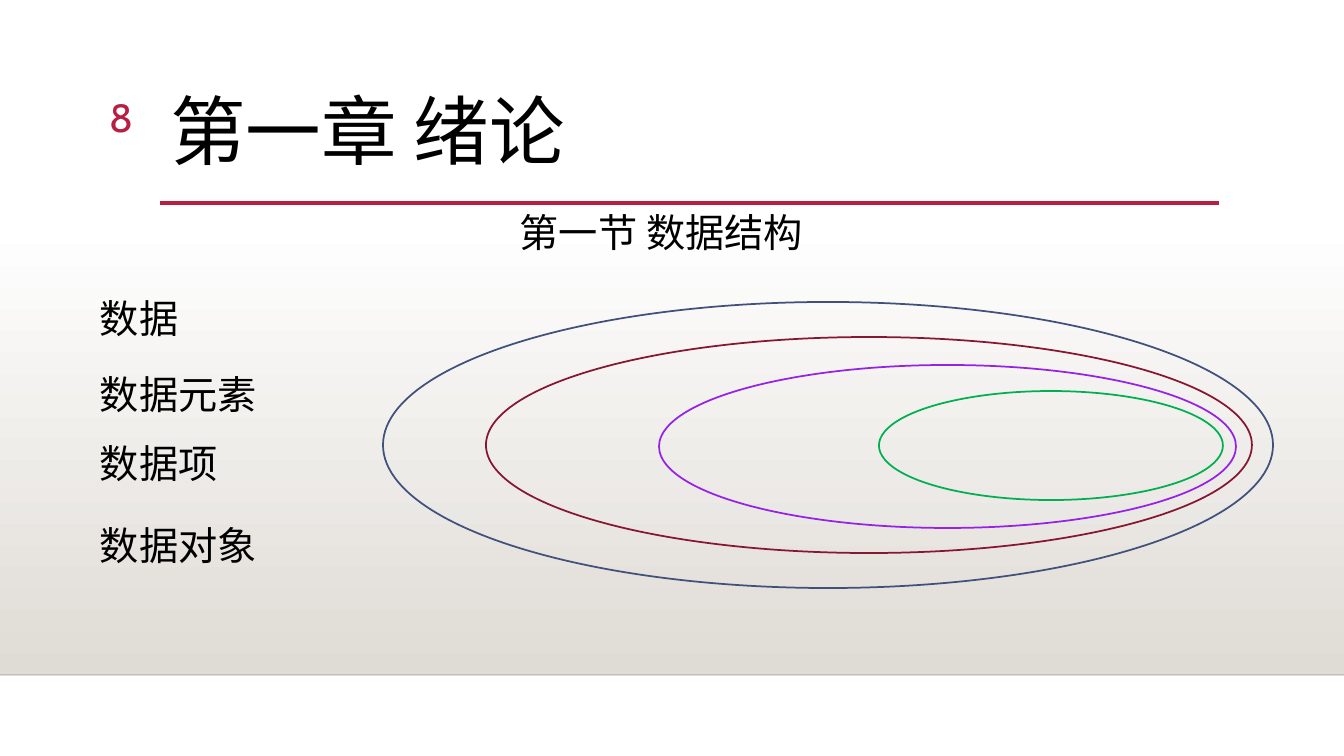
import pptx
import pptx.util
import pptx.dml.color
import pptx.enum.shapes
import pptx.enum.text
import pptx.oxml.ns
from lxml import etree

RGB = pptx.dml.color.RGBColor
BLACK = RGB(0x00, 0x00, 0x00)
WHITE = RGB(0xFF, 0xFF, 0xFF)
SAND = RGB(0xDF, 0xDB, 0xD5)
CRIMSON = RGB(0xB7, 0x1E, 0x42)
NAVY = RGB(0x41, 0x51, 0x7B)
MAROON = RGB(0x87, 0x16, 0x31)
PURPLE = RGB(0x96, 0x22, 0xE7)
GREEN = RGB(0x00, 0xB0, 0x50)

WIDTH, HEIGHT = 1344, 756
SCALE = 914400 / 100.8  # EMU per px
ALIGN = pptx.enum.text.PP_ALIGN
SHAPE = pptx.enum.shapes.MSO_SHAPE


def emu(*lengths):
    return [pptx.util.Emu(round(length * SCALE)) for length in lengths]


class ChapterSlide:
    font = "Cabin"
    text_size = 28

    def __init__(self, deck):
        self.slide = deck.slides.add_slide(deck.slide_layouts[5])
        self.shapes = self.slide.shapes

    def add_words(self, frame, words, size, color, align=ALIGN.LEFT, wrap=True):
        frame.word_wrap = wrap
        frame.auto_size = pptx.enum.text.MSO_AUTO_SIZE.NONE
        frame.vertical_anchor = pptx.enum.text.MSO_ANCHOR.TOP
        paragraph = frame.paragraphs[0]
        paragraph.alignment = align
        run = paragraph.add_run()
        run.text = words
        run.font.size = pptx.util.Pt(size)
        run.font.color.rgb = color
        run.font.name = self.font
        east_asian = etree.SubElement(run.font._element, pptx.oxml.ns.qn("a:ea"))
        east_asian.set("typeface", self.font)
        return paragraph

    def title(self, words, box):
        heading = self.shapes.title
        heading.left, heading.top, heading.width, heading.height = emu(*box)
        paragraph = self.add_words(heading.text_frame, words, 54, BLACK)
        paragraph.line_spacing = 0.9

    def text(self, words, box, color=BLACK, align=ALIGN.LEFT, wrap=True):
        frame = self.shapes.add_textbox(*emu(*box)).text_frame
        self.add_words(frame, words, self.text_size, color, align, wrap)

    def backdrop(self, box):
        floor = self.shapes.add_shape(SHAPE.RECTANGLE, *emu(*box))
        floor.shadow.inherit = False
        floor.line.fill.background()
        floor.fill.gradient()
        floor.fill.gradient_angle = 270
        for stop, color in zip(floor.fill.gradient_stops, (WHITE, SAND)):
            stop.color.rgb = color

    def rule(self, left, right, y, color, weight, opacity=100):
        ends = emu(left, y, right, y)
        rule = self.shapes.add_connector(
            pptx.enum.shapes.MSO_CONNECTOR.STRAIGHT, *ends)
        rule.line.color.rgb = color
        rule.line.width = pptx.util.Pt(weight)
        properties = rule._element.spPr
        if opacity < 100:
            shade = properties.find(".//" + pptx.oxml.ns.qn("a:srgbClr"))
            alpha = etree.SubElement(shade, pptx.oxml.ns.qn("a:alpha"))
            alpha.set("val", str(opacity * 1000))
        etree.SubElement(properties, pptx.oxml.ns.qn("a:effectLst"))

    def ellipse(self, box, color):
        ring = self.shapes.add_shape(SHAPE.OVAL, *emu(*box))
        ring.shadow.inherit = False
        ring.fill.background()
        ring.line.color.rgb = color
        ring.line.width = pptx.util.Pt(1.25)


def main():
    deck = pptx.Presentation()
    deck.slide_width, deck.slide_height = emu(WIDTH, HEIGHT)
    chapter = ChapterSlide(deck)

    # Background and rules
    chapter.backdrop((0, 223, WIDTH, 452))
    chapter.rule(0, WIDTH, 675, BLACK, 1, opacity=20)
    chapter.rule(160, 1219, 203, CRIMSON, 2.5)

    # Headings and page number
    chapter.title("第一章 绪论", (160, 89, 1058, 116))
    chapter.text("第一节 数据结构", (510, 203, 359, 57))
    chapter.text("8", (53, 88, 90, 55), CRIMSON, ALIGN.RIGHT)

    # Terms
    for term, top, width in (("数据", 289, 100), ("数据元素", 365, 178),
                             ("数据项", 434, 139), ("数据对象", 516, 178)):
        chapter.text(term, (90, top, width, 57), wrap=False)

    # Nested sets, outermost first
    for box, color in (((383, 302, 890, 286), NAVY),
                       ((486, 337, 766, 216), MAROON),
                       ((659, 365, 577, 163), PURPLE),
                       ((879, 391, 344, 109), GREEN)):
        chapter.ellipse(box, color)

    deck.save("out.pptx")


if __name__ == "__main__":
    main()
